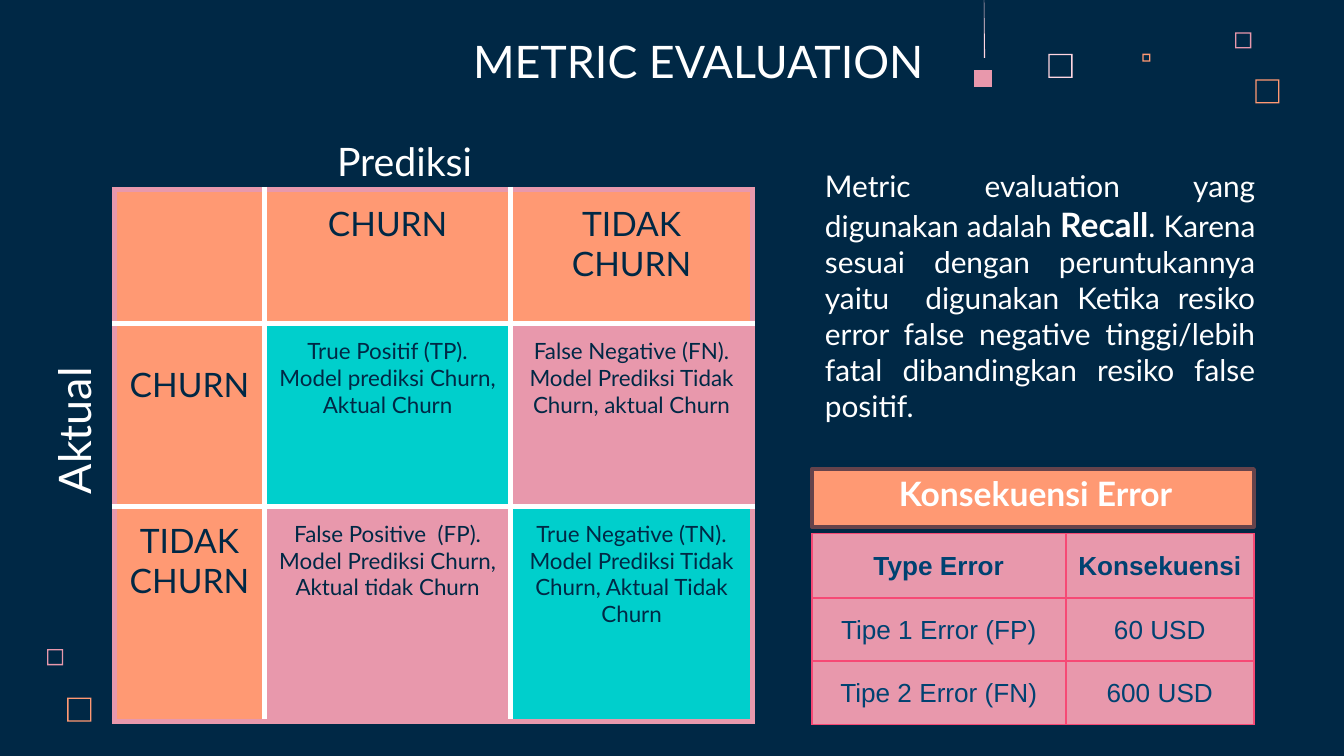
import pptx
import pptx.util
import pptx.dml.color
import pptx.enum.shapes
import pptx.enum.text
import pptx.oxml.ns
import lxml.etree as etree

PX = 9144
NAVY, WHITE, PINK = "002845", "FFFFFF", "E898AC"
PALE, PEACH, TEAL = "FFD6E1", "FF9973", "00CFCC"
ROSE, BLUE, BROWN = "F64975", "004271", "66434B"
ALIGN = pptx.enum.text.PP_ALIGN
ANCHOR = pptx.enum.text.MSO_ANCHOR


def emu(*vals):
    """Turn px lengths into EMU."""
    return [pptx.util.Emu(val * PX) for val in vals]


def color(hue):
    """Return the colour of a hex string."""
    return pptx.dml.color.RGBColor.from_string(hue)


def paint(item, hue):
    """Fill a shape, cell or background with one colour."""
    item.fill.solid()
    item.fill.fore_color.rgb = color(hue)


def style(run, size, hue=WHITE, face="Lato", bold=False):
    """Format one run."""
    font = run.font
    font.size, font.name, font.bold = pptx.util.Pt(size), face, bold
    font.color.rgb = color(hue)


def inset(item, *sides):
    """Set the left, top, right and bottom margins."""
    (item.margin_left, item.margin_top,
     item.margin_right, item.margin_bottom) = emu(*sides)


def label(slide, box, text, size, bold=False, turn=0):
    """Add a one-line text box."""
    shape = slide.shapes.add_textbox(*emu(*box))
    shape.rotation = turn
    frame = shape.text_frame
    frame.word_wrap = True
    inset(frame, 10, 10, 10, 10)
    frame.text = text
    style(frame.paragraphs[0].runs[0], size, bold=bold)


def outline(slide, loops, hue):
    """Add a filled freeform made of closed loops."""
    first, *rest = loops
    build = slide.shapes.build_freeform(*first[0], scale=PX)
    build.add_line_segments(first[1:])
    for loop in rest:
        build.move_to(*loop[0])
        build.add_line_segments(loop[1:])
    shape = build.convert_to_shape()
    shape.shadow.inherit = False
    paint(shape, hue)
    shape.line.fill.background()


def square(left, top, side):
    """Return the corners of a square."""
    return [(left, top), (left, top + side),
            (left + side, top + side), (left + side, top)]


def decor(slide):
    """Scatter the small squares and the hanging line."""
    rings = [(780, 40, 18, PALE), (919, 24, 12, PINK), (850, 40, 6, PEACH),
             (934, 59, 18, PEACH), (35, 483, 12, PINK), (50, 519, 18, PEACH)]
    for left, top, side, hue in rings:
        hole = square(left + 1, top + 1, side - 2)
        outline(slide, [square(left, top, side), hole[::-1]], hue)
    outline(slide, [square(725, 52, 13)], PINK)
    outline(slide, [[(732, -18), (732, 43), (733, 43)]], PALE)


def heading(slide, box, text):
    """Place and format the title."""
    title = slide.shapes.title
    title.left, title.top, title.width, title.height = emu(*box)
    frame = title.text_frame
    frame.auto_size = pptx.enum.text.MSO_AUTO_SIZE.NONE
    frame.vertical_anchor = ANCHOR.BOTTOM
    inset(frame, 10, 10, 10, 10)
    frame.text = text
    frame.paragraphs[0].alignment = ALIGN.CENTER
    style(frame.paragraphs[0].runs[0], 24)


def border(cell, hues, width):
    """Draw the left, right, top and bottom cell borders."""
    props = cell._tc.get_or_add_tcPr()
    name = pptx.oxml.ns.qn
    for side, hue in zip("LRTB", hues):
        line = etree.SubElement(props, name("a:ln" + side),
                                w=str(pptx.util.Pt(width)))
        fill = etree.SubElement(line, name("a:solidFill"))
        etree.SubElement(fill, name("a:srgbClr"), val=hue)


def grid(slide, left, top, cols, rows):
    """Add a plain table with the given column and row sizes."""
    box = emu(left, top, sum(cols), sum(rows))
    table = slide.shapes.add_table(len(rows), len(cols), *box).table
    table.first_row = table.horz_banding = False
    for col, size in zip(table.columns, emu(*cols)):
        col.width = size
    for row, size in zip(table.rows, emu(*rows)):
        row.height = size
    return table


def write(cell, text, *look):
    """Put centred text in a cell."""
    cell.text = text
    para = cell.text_frame.paragraphs[0]
    para.alignment = ALIGN.CENTER
    for run in para.runs:
        style(run, *look)


def matrix(slide, left, top):
    """Build the confusion matrix with its axis labels."""
    data = [
        ["", "CHURN", "TIDAK CHURN"],
        ["CHURN", "True Positif (TP). Model prediksi Churn, Aktual Churn",
         "False Negative (FN). Model Prediksi Tidak Churn, aktual Churn"],
        ["TIDAK CHURN",
         "False Positive  (FP). Model Prediksi Churn, Aktual tidak Churn",
         "True Negative (TN). Model Prediksi Tidak Churn, Aktual Tidak Churn"],
    ]
    table = grid(slide, left, top, [112, 183, 180], [100, 136, 160])
    for i, row in enumerate(data):
        for j, text in enumerate(row):
            cell = table.cell(i, j)
            head = i == 0 or j == 0
            inset(cell, 10, 30 if (i, j) == (1, 0) else 10, 10, 10)
            write(cell, text, 18 if head else 12, NAVY)
            edges = [j == 0, j == 2, i == 0, i == 2]
            border(cell, [PINK if edge else WHITE for edge in edges], 3)
            paint(cell, PEACH if head else TEAL if i == j else PINK)
    label(slide, (left + 156, top - 49, 125, 56), "Prediksi", 21)
    label(slide, (left - 105, top + 131, 150, 61), "Aktual", 24, turn=270)


def reason(slide, box):
    """Write the paragraph on the chosen metric."""
    frame = slide.shapes.add_textbox(*emu(*box)).text_frame
    frame.word_wrap = True
    para = frame.paragraphs[0]
    para.alignment = ALIGN.JUSTIFY
    parts = [
        ("Metric evaluation yang digunakan adalah ", 16, False),
        ("Recall", 18, True),
        (". Karena sesuai dengan peruntukannya yaitu  digunakan Ketika "
         "resiko error false negative tinggi/lebih fatal dibandingkan "
         "resiko false positif.", 16, False),
    ]
    for text, size, bold in parts:
        run = para.add_run()
        run.text = text
        style(run, size, bold=bold)


def costs(slide, left, top):
    """Build the banner and the table of error costs."""
    kind = pptx.enum.shapes.MSO_SHAPE.RECTANGLE
    banner = slide.shapes.add_shape(kind, *emu(left, top, 329, 43))
    banner.shadow.inherit = False
    paint(banner, PEACH)
    banner.line.color.rgb = color(BROWN)
    banner.line.width = pptx.util.Pt(2)
    data = [("Type Error", "Konsekuensi"), ("Tipe 1 Error (FP)", "60 USD"),
            ("Tipe 2 Error (FN)", "600 USD")]
    table = grid(slide, left, top + 48, [189, 140], [48, 47, 47])
    for i, row in enumerate(data):
        for j, text in enumerate(row):
            cell = table.cell(i, j)
            inset(cell, 1, 1, 1, 0)
            cell.vertical_anchor = ANCHOR.MIDDLE
            write(cell, text, 14, BLUE, "Arial", i == 0)
            border(cell, [ROSE] * 4, 1)
            paint(cell, PINK)
    label(slide, (left + 55, top - 7, 281, 50), "Konsekuensi Error", 18, True)


def main():
    """Build and save the slide."""
    deck = pptx.Presentation()
    deck.slide_width = emu(1000)[0]
    deck.slide_height = deck.slide_width * 9 // 16
    slide = deck.slides.add_slide(deck.slide_layouts[5])
    paint(slide.background, NAVY)
    decor(slide)
    heading(slide, (287, -7, 465, 82), "METRIC EVALUATION")
    matrix(slide, 85, 141)
    reason(slide, (604, 120, 340, 229))
    costs(slide, 604, 349)
    deck.save("out.pptx")


if __name__ == "__main__":
    main()
